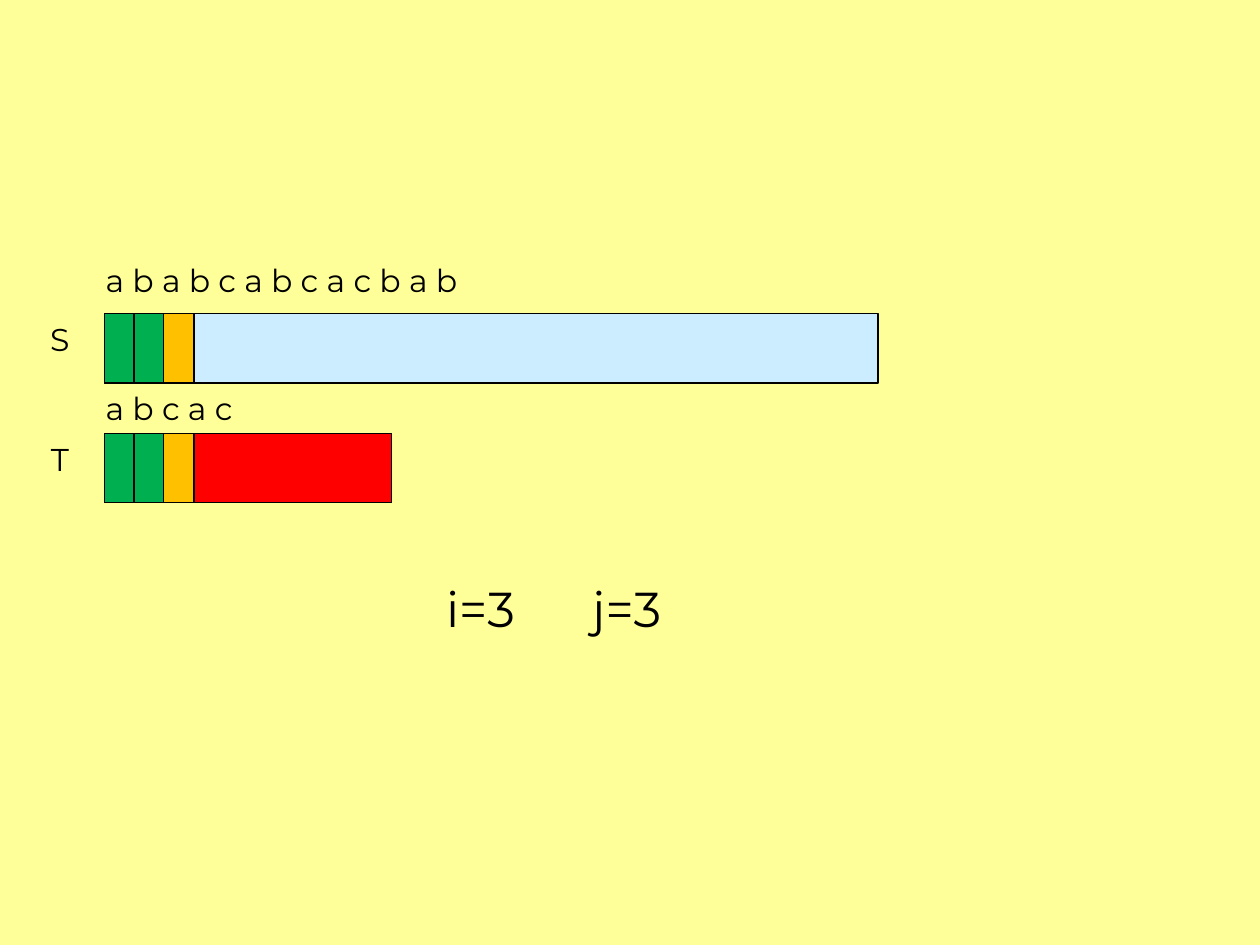
"""Build a slide that shows one step of matching pattern T against string S."""
from lxml.etree import SubElement
from pptx import Presentation
from pptx.dml.color import RGBColor
from pptx.enum.shapes import MSO_SHAPE as Shape
from pptx.enum.text import MSO_AUTO_SIZE as AutoSize, PP_ALIGN as Align
from pptx.oxml.ns import qn
from pptx.util import Inches, Pt

COLORS = {
    "background": "FFFF99",
    "ink": "000000",
    "string": "CCECFF",
    "pattern": "FF0000",
    "matched": "00B050",
    "mismatch": "FFC000",
}
BAR_LEFT, BAR_HEIGHT, CELL_WIDTH = 0.83, 0.55, 0.24
CELL_STEP = 0.235
COMPARED = ("matched", "matched", "mismatch")
ROWS = (
    ("S", "string", 2.49, 6.14, "a b a b c a b c a c b a b", 2.02),
    ("T", "pattern", 3.44, 2.28, "a b c a c", 3.04),
)


def rgb(name):
    return RGBColor.from_string(COLORS[name])


def add_block(slide, left, top, width, color):
    block = slide.shapes.add_shape(
        Shape.RECTANGLE, Inches(left), Inches(top), Inches(width), Inches(BAR_HEIGHT)
    )
    block.shadow.inherit = False
    block.fill.solid()
    block.fill.fore_color.rgb = rgb(color)
    block.line.color.rgb = rgb("ink")
    block.line.width = Pt(0.75)


def add_text(slide, left, top, width, height, text, size=18, align=Align.LEFT, tab=None, inset=0.1):
    box = slide.shapes.add_textbox(Inches(left), Inches(top), Inches(width), Inches(height))
    frame = box.text_frame
    frame_format = {
        "word_wrap": True,
        "auto_size": AutoSize.SHAPE_TO_FIT_TEXT,
        "margin_left": Inches(inset),
    }
    for attribute, value in frame_format.items():
        setattr(frame, attribute, value)
    paragraph = frame.paragraphs[0]
    paragraph.text = text
    paragraph.alignment = align
    if tab:
        stops = SubElement(paragraph._p.get_or_add_pPr(), qn("a:tabLst"))
        SubElement(stops, qn("a:tab"), pos=str(Inches(tab)), algn="l")
    font = paragraph.runs[0].font
    for attribute, value in {"name": "Montserrat", "size": Pt(size)}.items():
        setattr(font, attribute, value)
    font.color.rgb = rgb("ink")


def add_row(slide, label, color, top, width, letters, letters_top):
    add_block(slide, BAR_LEFT, top, width, color)
    add_text(slide, 0.12, top, 0.71, 0.4, label, align=Align.CENTER)
    for index, state in enumerate(COMPARED):
        add_block(slide, BAR_LEFT + index * CELL_STEP, top, CELL_WIDTH, state)
    add_text(slide, 0.74, letters_top, 6.22, 0.4, letters)


def main():
    deck = Presentation()
    deck.slide_width, deck.slide_height = Inches(10), Inches(7.5)
    slide = deck.slides.add_slide(deck.slide_layouts[6])
    slide.background.fill.solid()
    slide.background.fill.fore_color.rgb = rgb("background")
    for row in ROWS:
        add_row(slide, *row)
    add_text(slide, 3.11, 4.54, 2.59, 0.57, "i=3\tj=3", size=28, tab=1.16, inset=0.43)
    deck.save("out.pptx")


if __name__ == "__main__":
    main()
